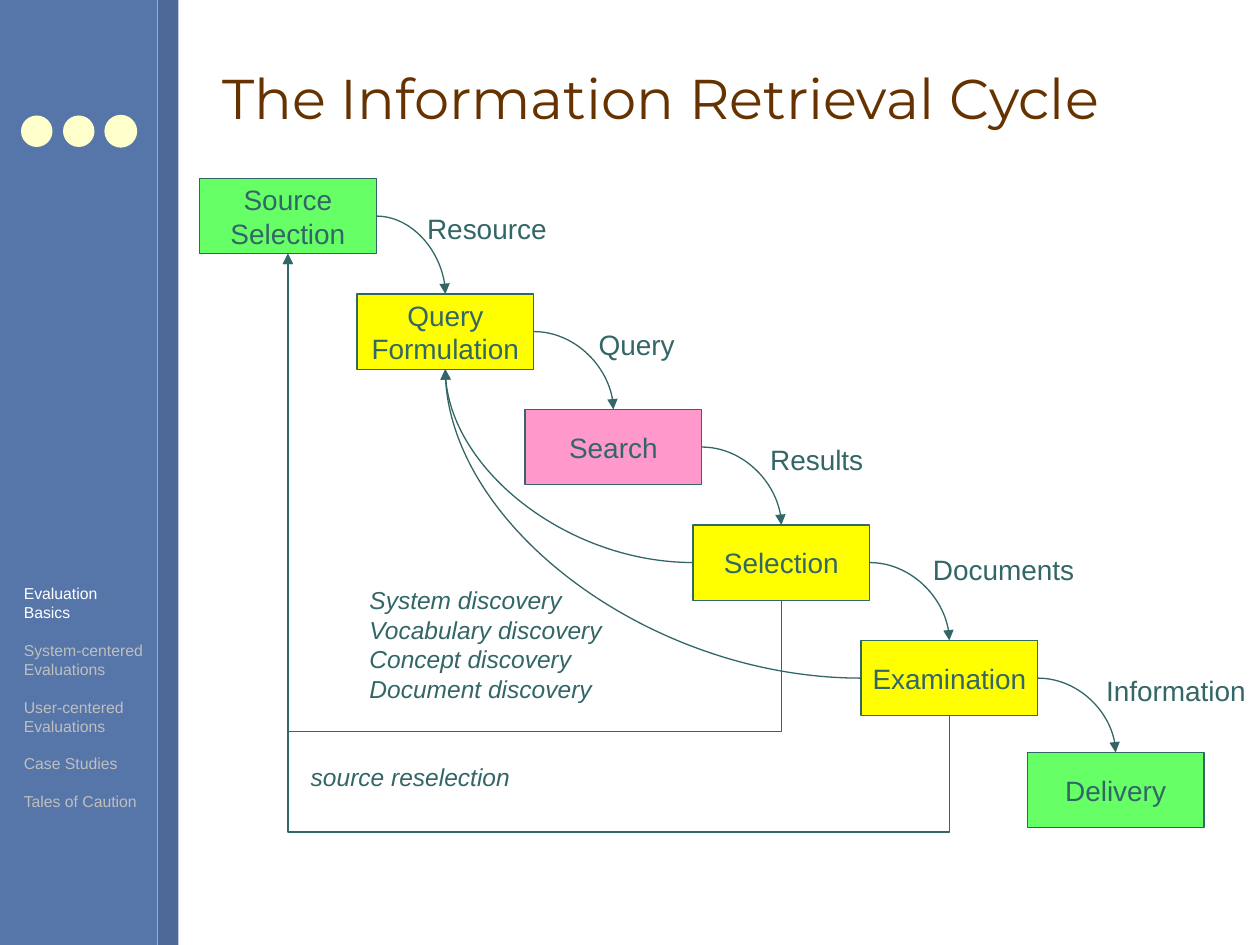
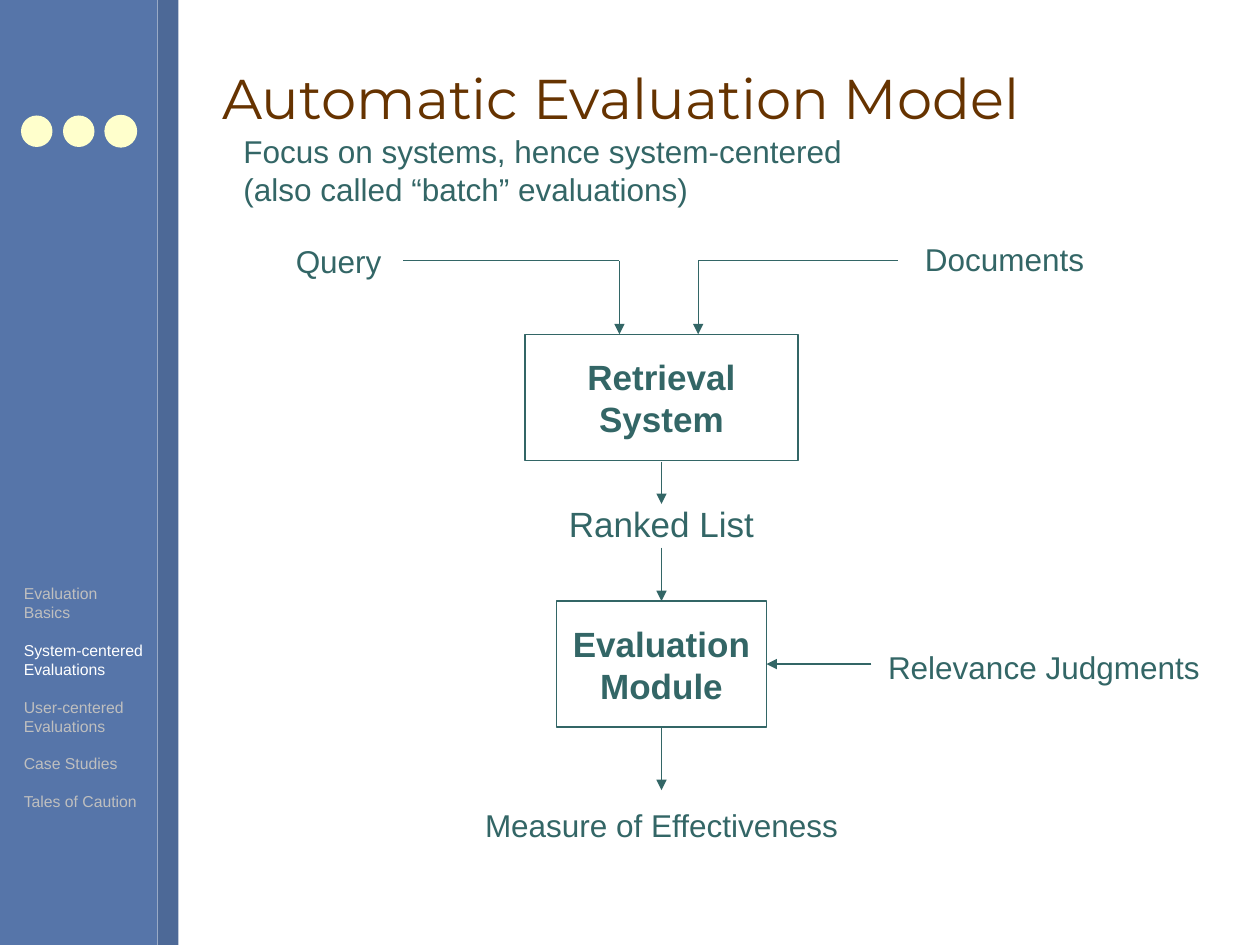
from lxml.etree import SubElement
from pptx import Presentation
from pptx.dml.color import RGBColor as RGB
from pptx.enum.shapes import MSO_CONNECTOR as LINK, MSO_SHAPE as FORM
from pptx.enum.text import MSO_ANCHOR as ANCHOR, MSO_AUTO_SIZE as AUTO, PP_ALIGN as ALIGN
from pptx.oxml.ns import qn
from pptx.util import Pt

BLUE = RGB(0x56, 0x75, 0xA9)
NAVY = RGB(0x4D, 0x69, 0x97)
CREAM = RGB(0xFF, 0xFF, 0xCC)
BROWN = RGB(0x66, 0x33, 0x00)
TEAL = RGB(0x33, 0x66, 0x66)
GREEN = RGB(0x66, 0xFF, 0x66)
YELLOW = RGB(0xFF, 0xFF, 0x00)
PINK = RGB(0xFF, 0x99, 0xCC)
WHITE = RGB(0xFF, 0xFF, 0xFF)
GREY = RGB(0xBF, 0xBF, 0xBF)

WIDE, HIGH = 720, 540
TOP, LEFT, BOTTOM, RIGHT = range(4)
THIN = Pt(0.75)
BODY = {"name": "Arial", "size": Pt(16)}
NOTE = {"name": "Arial", "size": Pt(14), "italic": True}
LABEL = {"name": "Arial", "size": Pt(18)}
LARGE = {"name": "Arial", "size": Pt(20)}
BOLD = LARGE | {"bold": True}
MENU = {"name": "Arial", "size": Pt(9)}
HEAD = {"name": "Montserrat", "size": Pt(32)}

TOPICS = ["Evaluation\nBasics", "System-centered\nEvaluations",
          "User-centered\nEvaluations", "Case Studies", "Tales of Caution"]

# Name, fill, left, top, then the outgoing label with its offset and width
STAGES = [
    ("Source\nSelection", GREEN, 0, 0, ("Resource", 123, 15.5, 83)),
    ("Query\nFormulation", YELLOW, 90, 66, ("Query", 131, 15.5, 58)),
    ("Search", PINK, 186, 132, ("Results", 133, 15.5, 68)),
    ("Selection", YELLOW, 282, 198, ("Documents", 130, 12, 95)),
    ("Examination", YELLOW, 378, 264, ("Information", 133, 15.5, 94)),
    ("Delivery", GREEN, 473, 328, None),
]


def apply(item, form):
    for name, value in form.items():
        setattr(item, name, value)


def shift(box, x, y, w, h):
    """Place a box relative to the corner of an outer one."""
    return box[0] + x, box[1] + y, w, h


def write(para, text, font, color):
    run = para.add_run()
    run.text = text
    apply(run.font, font)
    run.font.color.rgb = color


def fill_text(frame, text, font, color=TEAL, align=ALIGN.LEFT):
    """Write each line of the text as one paragraph."""
    for i, line in enumerate(text.split("\n")):
        para = frame.add_paragraph() if i else frame.paragraphs[0]
        para.alignment = align
        write(para, line, font, color)


def add_frame(slide, box, **form):
    frame = slide.shapes.add_textbox(*map(Pt, box)).text_frame
    apply(frame, {"word_wrap": False, "auto_size": AUTO.SHAPE_TO_FIT_TEXT} | form)
    return frame


def add_text(slide, box, text, font, color=TEAL, align=ALIGN.LEFT, **form):
    fill_text(add_frame(slide, box, **form), text, font, color, align)


def add_form(slide, kind, box, fill=None, line=None):
    shape = slide.shapes.add_shape(kind, *map(Pt, box))
    shape.shadow.inherit = False
    for paint, color in ((shape.fill, fill), (shape.line.fill, line)):
        if color is None:
            paint.background()
        else:
            paint.solid()
            paint.fore_color.rgb = color
    if line is not None:
        shape.line.width = THIN
    return shape


def add_node(slide, box, text, font, fill=None):
    node = add_form(slide, FORM.RECTANGLE, box, fill, TEAL)
    apply(node.text_frame, {"word_wrap": False, "vertical_anchor": ANCHOR.MIDDLE})
    fill_text(node.text_frame, text, font, align=ALIGN.CENTER)
    return node


def add_link(slide, kind, ends=(0, 0, 0, 0), arrow=True):
    link = slide.shapes.add_connector(kind, *map(Pt, ends))
    link.line.color.rgb = TEAL
    link.line.width = THIN
    if arrow:
        SubElement(link.line._get_or_add_ln(), qn("a:tailEnd"), type="triangle")
    SubElement(link.element.spPr, qn("a:effectLst"))
    return link


def add_curve(slide, start, side, end, goal):
    link = add_link(slide, LINK.CURVE)
    link.begin_connect(start, side)
    link.end_connect(end, goal)
    link.element.spPr.find(qn("a:prstGeom")).set("prst", "curvedConnector2")


def add_loop(slide, start, end, drop):
    """Lead from below one node, down by drop, back up to another."""
    link = add_link(slide, LINK.ELBOW)
    link.begin_connect(start, BOTTOM)
    link.end_connect(end, BOTTOM)
    run, rise = link.begin_x - link.end_x, link.begin_y - link.end_y
    mid_x, mid_y = (link.begin_x + link.end_x) // 2, (link.begin_y + link.end_y) // 2
    apply(link, {"left": mid_x - rise // 2, "top": mid_y - run // 2,
                 "width": rise, "height": run})
    turn = link.element.spPr.find(qn("a:xfrm"))
    for name, value in {"rot": "16200000", "flipH": "0", "flipV": "1"}.items():
        turn.set(name, value)
    bends = link.element.spPr.find(qn("a:prstGeom")).get_or_add_avLst()
    SubElement(bends, qn("a:gd"), name="adj1",
               fmla=f"val {round(-100000 * Pt(drop) / rise)}")


def add_side(slide, box, live):
    """Draw the side band with its dots and the topics, one of them lit."""
    x, y, w, h = box
    add_form(slide, FORM.RECTANGLE, (x, y, 90, h), BLUE)
    add_form(slide, FORM.RECTANGLE, (x + 90, y, w - 90, h), NAVY)
    for i in range(3):
        dot = shift(box, 12 + 24 * i, 66, 18, 18)
        add_form(slide, FORM.OVAL, dot, CREAM, CREAM if i == 2 else None)
    frame = add_frame(slide, shift(box, 6.5, 330, 90, 137.5))
    for i, topic in enumerate(TOPICS):
        for j, line in enumerate(topic.split("\n")):
            para = frame.add_paragraph() if i or j else frame.paragraphs[0]
            if i and not j:
                para.space_before = Pt(10.8)
            write(para, line, MENU, WHITE if i == live else GREY)


def add_base(deck, title, live):
    slide = deck.slides.add_slide(deck.slide_layouts[6])
    add_side(slide, (0, 0, 102, HIGH), live)
    add_text(slide, (120, 15, 576, 81.5), title, HEAD, BROWN, word_wrap=True,
             auto_size=AUTO.NONE, vertical_anchor=ANCHOR.MIDDLE)
    return slide


def add_cycle(slide, box):
    nodes = [add_node(slide, shift(box, x, y, 101, 43), name, BODY, fill)
             for name, fill, x, y, _ in STAGES]
    for start, end in zip(nodes, nodes[1:]):
        add_curve(slide, start, RIGHT, end, TOP)
    for _, _, x, y, label in STAGES[:-1]:
        text, dx, dy, w = label
        add_text(slide, shift(box, x + dx, y + dy, w, 26.5), text, BODY)
    source, query, _, select, exam, _ = nodes
    add_loop(slide, exam, source, 66.5)
    add_loop(slide, select, source, 75)
    for start in (exam, select):
        add_curve(slide, start, LEFT, query, BOTTOM)
    add_text(slide, shift(box, 56.5, 330, 166, 24.5), "source reselection", NOTE,
             word_wrap=True)
    kinds = ("System", "Vocabulary", "Concept", "Document")
    add_text(slide, shift(box, 90, 229, 147.5, 75),
             "\n".join(f"{kind} discovery" for kind in kinds), NOTE)


def add_model(slide, box):
    x, y = box[:2]
    mid, row = 246, 77
    add_text(slide, shift(box, 0, 0, 366, 50),
             "Focus on systems, hence system-centered\n(also called “batch” evaluations)",
             LABEL, word_wrap=True)
    for text, w, top in (("Retrieval\nSystem", 156, 119),
                         ("Evaluation\nModule", 120, 271.5)):
        add_node(slide, shift(box, mid - w / 2, top, w, 72), text, BOLD)
    for text, left, top, w, font in (("Query", 26.5, 62.5, 70, LABEL),
                                     ("Documents", 387, 61.5, 110, LABEL),
                                     ("Ranked List", mid - 62, 211.5, 124, LARGE),
                                     ("Measure of Effectiveness", mid - 117, 385, 234, LABEL),
                                     ("Relevance Judgments", 364.5, 294.5, 200, LABEL)):
        add_text(slide, shift(box, left, top, w, 29), text, font, align=ALIGN.CENTER)
    for x1, y1, x2, y2, arrow in ((98.5, row, 222, row, False),
                                  (222, row, 222, 119, True),
                                  (381, row, 267, row, False),
                                  (267, row, 267, 119, True),
                                  (mid, 192, mid, 216, True),
                                  (mid, 241, mid, 271.5, True),
                                  (mid, 343.5, mid, 379.5, True),
                                  (366, 307.5, 306, 307.5, True)):
        add_link(slide, LINK.STRAIGHT, (x + x1, y + y1, x + x2, y + y2), arrow)


def main():
    deck = Presentation()
    apply(deck, {"slide_width": Pt(WIDE), "slide_height": Pt(HIGH)})
    add_cycle(add_base(deck, "The Information Retrieval Cycle", 0), (114, 102, 606, 375))
    add_model(add_base(deck, "Automatic Evaluation Model", 1), (132, 72, 588, 420))
    deck.save("out.pptx")


if __name__ == "__main__":
    main()
